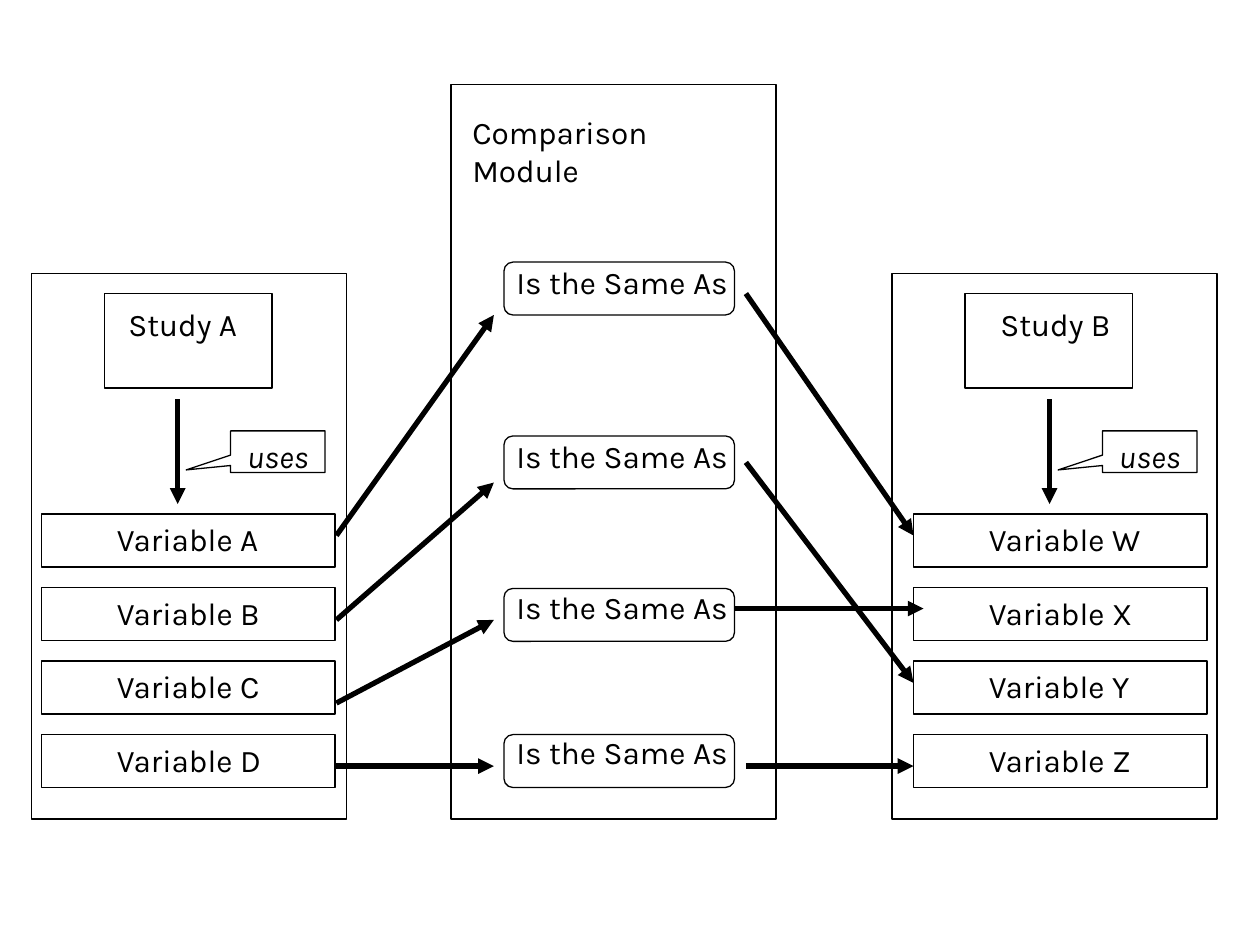
from pptx import Presentation
from pptx.dml.color import RGBColor
from pptx.enum.shapes import MSO_CONNECTOR, MSO_SHAPE
from pptx.enum.text import MSO_ANCHOR, MSO_AUTO_SIZE, PP_ALIGN
from pptx.oxml.ns import qn
from pptx.util import Inches, Pt
from lxml import etree

BLACK = RGBColor(0x00, 0x00, 0x00)
FONT_FORMAT = {"name": "Karla", "size": Pt(18)}
ROW_HEIGHT = 0.42
VARIABLE_PITCH = 1.75 / 3


def write(shape, text, **extra):
    """Put one formatted line of text at the top of a shape."""
    frame = shape.text_frame
    frame.vertical_anchor = MSO_ANCHOR.TOP
    span = frame.paragraphs[0].add_run()
    span.text = text
    for name, value in {**FONT_FORMAT, **extra}.items():
        setattr(span.font, name, value)
    span.font.color.rgb = BLACK


def add_label(page, box, text, wrap=False):
    """Add a text box that fits its text."""
    label = page.shapes.add_textbox(*map(Inches, box))
    write(label, text)
    label.text_frame.word_wrap = wrap
    label.text_frame.auto_size = MSO_AUTO_SIZE.SHAPE_TO_FIT_TEXT
    return label


def add_outline(page, kind, box, adjustments=()):
    """Add an unfilled shape with a thin black outline."""
    shape = page.shapes.add_shape(kind, *map(Inches, box))
    shape.shadow.inherit = False
    shape.fill.background()
    shape.line.color.rgb = BLACK
    shape.line.width = Pt(0.75)
    for index, value in enumerate(adjustments):
        shape.adjustments[index] = value
    return shape


def add_arrow(page, start, end):
    """Add a thick straight arrow between two points."""
    arrow = page.shapes.add_connector(
        MSO_CONNECTOR.STRAIGHT, *map(Inches, (*start, *end)))
    arrow.line.color.rgb = BLACK
    arrow.line.width = Pt(3)
    etree.SubElement(arrow.line._get_or_add_ln(), qn("a:tailEnd"), type="triangle")
    etree.SubElement(arrow._element.spPr, qn("a:effectLst"))


def add_study(page, box, margin, study, variables):
    """Add a study panel with its heading, uses arrow and variables."""
    left, top, _, _ = box
    inner = left + margin
    add_outline(page, MSO_SHAPE.RECTANGLE, box)
    add_outline(page, MSO_SHAPE.RECTANGLE, (left + 0.58, top + 0.16, 1.33, 0.75))
    add_label(page, (inner + 0.59, top + 0.2, 1.08, 0.4), study)
    add_arrow(page, (inner + 1.08, top + 1), (inner + 1.08, top + 1.83))
    callout = add_outline(page, MSO_SHAPE.RECTANGULAR_CALLOUT,
                          (inner + 1.5, top + 1.25, 0.75, 0.33), (-0.97, 0.44))
    write(callout, "uses", italic=True)
    callout.text_frame.paragraphs[0].alignment = PP_ALIGN.CENTER
    for row, (letter, width) in enumerate(variables):
        row_top = top + 1.91 + row * VARIABLE_PITCH
        add_outline(page, MSO_SHAPE.RECTANGLE, (inner, row_top, 2.33, ROW_HEIGHT))
        add_label(page, (inner + 0.5, row_top, width, 0.4), f"Variable {letter}")


def add_comparison(page, box, relations):
    """Add the comparison panel and its relations at their offsets."""
    left, top, _, _ = box
    add_outline(page, MSO_SHAPE.RECTANGLE, box)
    heading = add_label(page, (left + 0.07, top + 0.18, 2.44, 0.4),
                        "Comparison Module", wrap=True)
    heading.text_frame.margin_right = Inches(0.3)
    for offset, lift in relations:
        add_outline(page, MSO_SHAPE.ROUNDED_RECTANGLE,
                    (left + 0.42, top + offset, 1.83, ROW_HEIGHT), (0.17,))
        add_label(page, (left + 0.42, top + offset - lift, 1.9, 0.4), "Is the Same As")


def add_links(page, links):
    """Join variables to relations with arrows."""
    for start, end in links:
        add_arrow(page, start, end)


def main():
    """Build and save the deck."""
    deck = Presentation()
    deck.slide_width, deck.slide_height = Inches(10), Inches(7.5)
    page = deck.slides.add_slide(deck.slide_layouts[6])
    add_study(page, (0.25, 2.17, 2.5, 4.33), 0.08, "Study A",
              [("A", 1.35), ("B", 1.35), ("C", 1.37), ("D", 1.37)])
    add_study(page, (7.08, 2.17, 2.58, 4.33), 0.17, "Study B",
              [("W", 1.42), ("X", 1.35), ("Y", 1.35), ("Z", 1.34)])
    add_comparison(page, (3.58, 0.67, 2.58, 5.83),
                   [(1.41, 0.04), (2.79, 0.04), (4, 0.05), (5.16, 0.06)])
    add_links(page, [
        ((2.67, 4.25), (3.92, 2.5)), ((5.92, 2.33), (7.25, 4.25)),
        ((2.67, 4.92), (3.92, 3.83)), ((5.92, 3.67), (7.25, 5.42)),
        ((2.67, 5.58), (3.92, 4.92)), ((5.83, 4.83), (7.33, 4.83)),
        ((2.67, 6.08), (3.92, 6.08)), ((5.92, 6.08), (7.25, 6.08)),
    ])
    deck.save("out.pptx")


if __name__ == "__main__":
    main()
